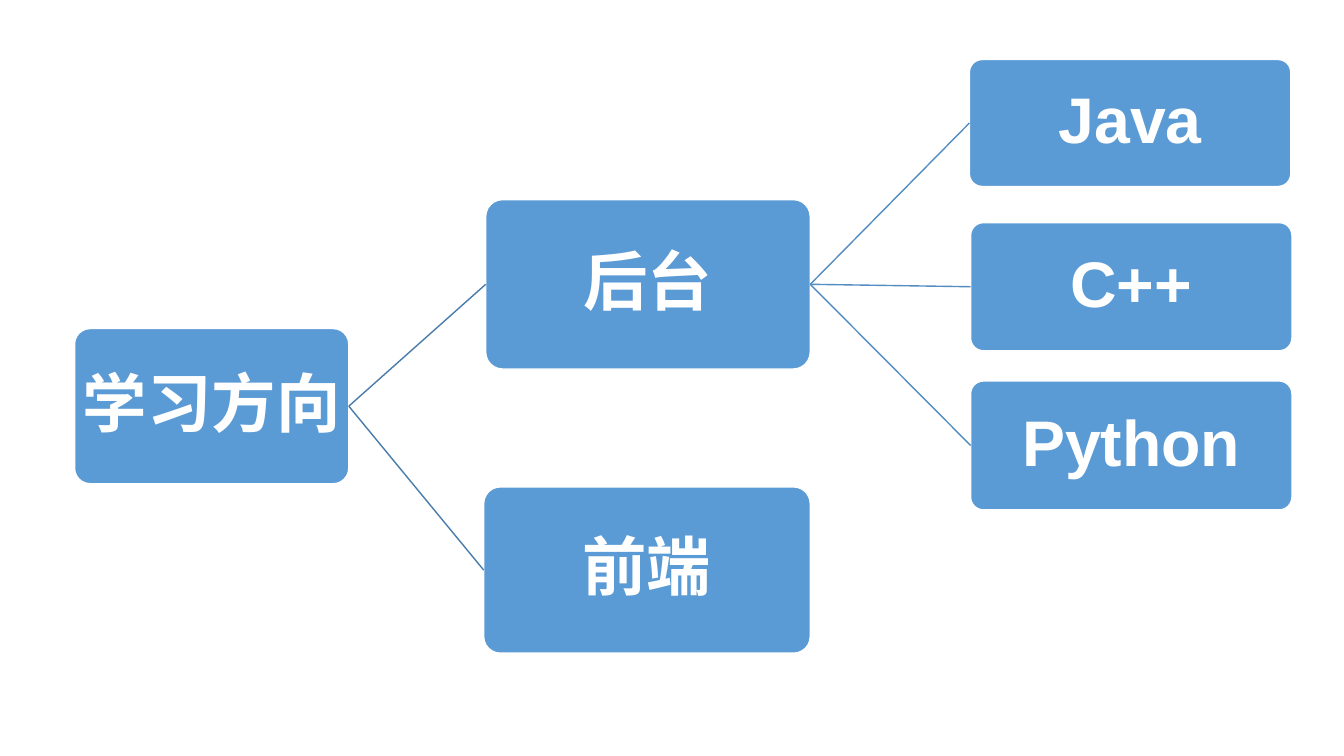
import pptx
import pptx.util
import pptx.dml.color
import pptx.enum.shapes
import pptx.enum.text
import pptx.oxml.ns
import lxml.etree

Cm = pptx.util.Cm
Pt = pptx.util.Pt
RGBColor = pptx.dml.color.RGBColor

BLUE = RGBColor(0x5B, 0x9B, 0xD5)
WHITE = RGBColor(0xFF, 0xFF, 0xFF)
ROOT_LINE = RGBColor(0x49, 0x7C, 0xAB)
BRANCH_LINE = RGBColor(0x53, 0x8D, 0xC1)
LEFT_SITE, RIGHT_SITE = 1, 3


def write_text(tf, text, size=46, font="Arial", color=WHITE, bold=True):
    tf.word_wrap = False
    tf.vertical_anchor = pptx.enum.text.MSO_ANCHOR.MIDDLE
    tf.margin_left = tf.margin_right = tf.margin_top = tf.margin_bottom = Cm(0.08)
    p = tf.paragraphs[0]
    p.alignment = pptx.enum.text.PP_ALIGN.CENTER
    p.line_spacing = 0.9
    r = p.add_run()
    r.text = text
    r.font.size = Pt(size)
    r.font.name = font
    r.font.bold = bold
    r.font.color.rgb = color


prs = pptx.Presentation()
prs.slide_width = Cm(33.87)
prs.slide_height = Cm(19.05)
s = prs.slides.add_slide(prs.slide_layouts[6])

topics = [
    ("学习方向", 1.88, 8.28, 6.91, 3.91),
    ("后台", 12.24, 5.03, 8.18, 4.27),
    ("前端", 12.19, 12.27, 8.23, 4.19),
    ("Java", 24.43, 1.5, 8.1, 3.2),
    ("C++", 24.46, 5.61, 8.1, 3.23),
    ("Python", 24.46, 9.6, 8.1, 3.25),
]
boxes = {}
for text, left, top, width, height in topics:
    sp = s.shapes.add_shape(
        pptx.enum.shapes.MSO_SHAPE.ROUNDED_RECTANGLE,
        Cm(left), Cm(top), Cm(width), Cm(height))
    sp.adjustments[0] = 0.1
    sp.shadow.inherit = False
    sp.fill.solid()
    sp.fill.fore_color.rgb = BLUE
    sp.line.color.rgb = WHITE
    sp.line.width = Pt(1)
    write_text(sp.text_frame, text)
    boxes[text] = sp

branches = [
    ("学习方向", ROOT_LINE, ["后台", "前端"]),
    ("后台", BRANCH_LINE, ["Java", "C++", "Python"]),
]
for parent, color, children in branches:
    for child in children:
        line = s.shapes.add_connector(
            pptx.enum.shapes.MSO_CONNECTOR.STRAIGHT, 0, 0, 0, 0)
        line.begin_connect(boxes[parent], RIGHT_SITE)
        line.end_connect(boxes[child], LEFT_SITE)
        line.line.color.rgb = color
        line.line.width = Pt(1)
        lxml.etree.SubElement(
            line._element.spPr, pptx.oxml.ns.qn("a:effectLst"))

prs.save("out.pptx")
